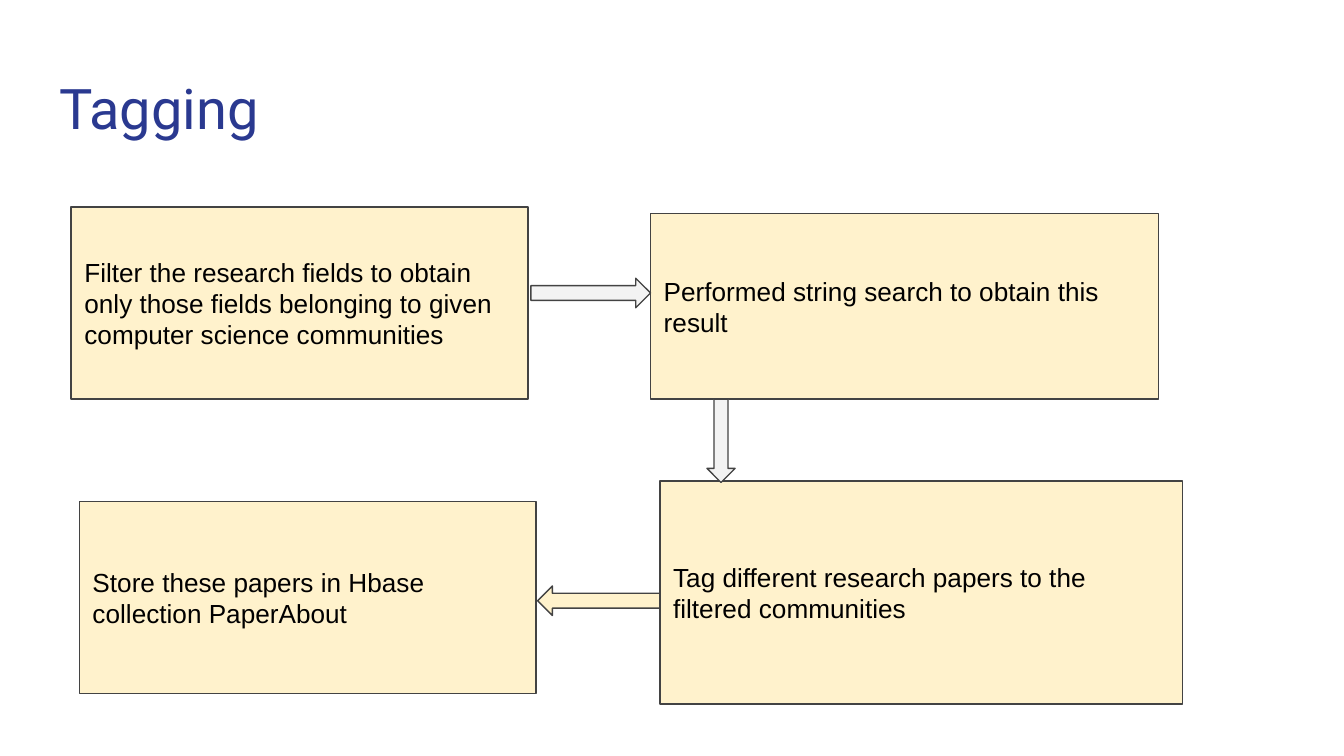
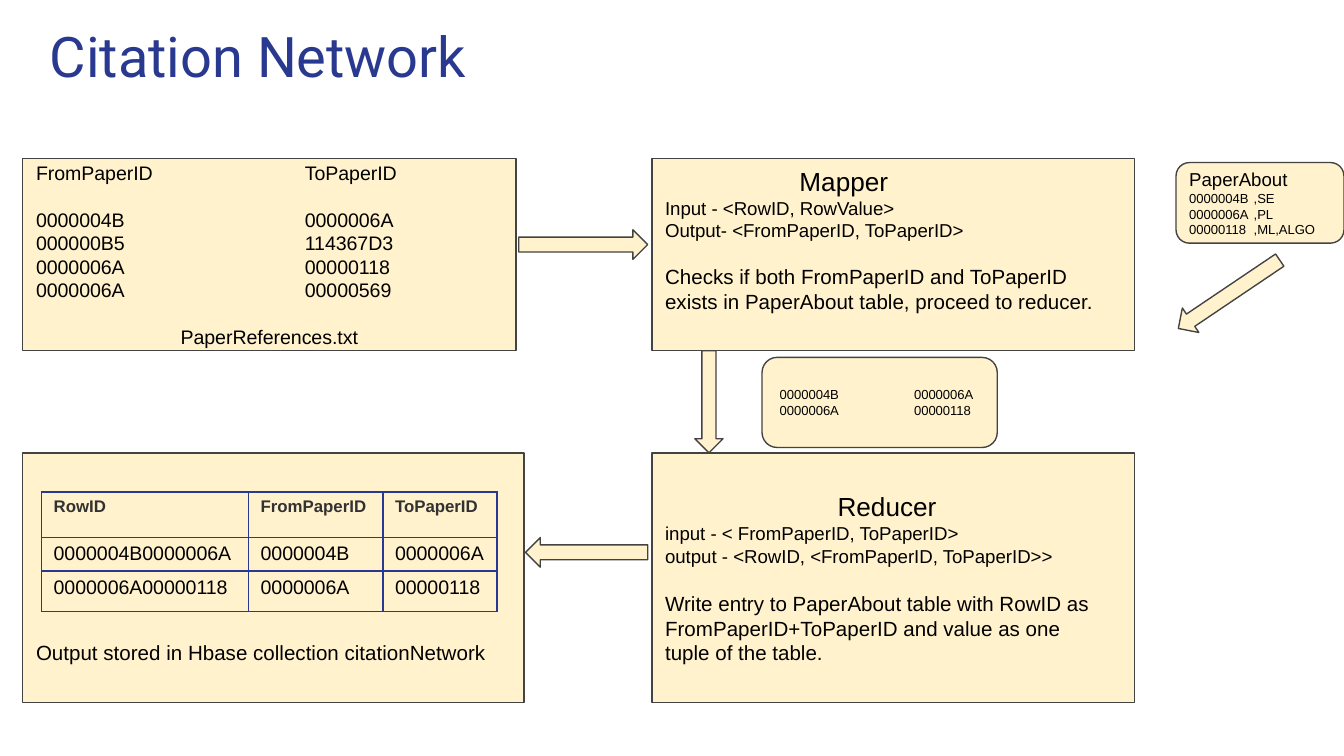
from dataclasses import dataclass

from lxml import etree
from pptx import Presentation
from pptx import util as u
from pptx.dml.color import RGBColor
from pptx.enum import shapes, text
from pptx.oxml import ns

PX = 9144
SLIDE_WIDTH = 1000
TITLE_ONLY = 5
BOX = shapes.MSO_SHAPE.RECTANGLE
ROUNDED = shapes.MSO_SHAPE.ROUNDED_RECTANGLE
RIGHT = shapes.MSO_SHAPE.RIGHT_ARROW
DOWN = shapes.MSO_SHAPE.DOWN_ARROW
LEFT = shapes.MSO_SHAPE.LEFT_ARROW
CENTER = text.PP_ALIGN.CENTER


@dataclass(frozen=True)
class Theme:
    navy: str = "2A3990"
    cream: str = "FFF2CC"
    gray: str = "F3F3F3"
    outline: str = "434343"
    ink: str = "000000"
    header_ink: str = "323232"
    title_font: str = "Roboto"
    body_font: str = "Arial"
    title: float = 30
    heading: float = 14
    body: float = 11
    listing: float = 10.5
    code: float = 10
    header: float = 9
    small: float = 7
    line: float = 0.75
    border: float = 1


@dataclass(frozen=True)
class Line:
    text: str
    size: float
    before: float = 0
    align: int = text.PP_ALIGN.LEFT
    indent: int = 0
    right_indent: int = 0


THEME = Theme()


def px(value):
    return u.Emu(value * PX)


def place(*lengths):
    return [px(length) for length in lengths]


def set_all(target, formats):
    for name, value in formats.items():
        setattr(target, name, value)


def set_font(font, size, color=THEME.ink, name=THEME.body_font, bold=False):
    set_all(font, {"name": name, "size": u.Pt(size), "bold": bold})
    font.color.rgb = RGBColor.from_string(color)


def set_margins(target, left, top, right, bottom):
    set_all(target, {
        "margin_left": px(left), "margin_top": px(top),
        "margin_right": px(right), "margin_bottom": px(bottom),
    })


def add_tab_stop(paragraph, position):
    properties = paragraph._p.get_or_add_pPr()
    stops = etree.SubElement(properties, ns.qn("a:tabLst"))
    etree.SubElement(stops, ns.qn("a:tab"), pos=str(px(position)), algn="l")


def write_lines(frame, lines, tab=None):
    for index, line in enumerate(lines):
        paragraph = frame.add_paragraph() if index else frame.paragraphs[0]
        set_all(paragraph, {"alignment": line.align, "space_before": u.Pt(line.before)})
        for name, indent in (("marL", line.indent), ("marR", line.right_indent)):
            if indent:
                paragraph._p.get_or_add_pPr().set(name, str(px(indent)))
        if tab and "\t" in line.text:
            add_tab_stop(paragraph, tab)
        run = paragraph.add_run()
        run.text = line.text
        set_font(run.font, line.size)


def add_titled_slide(presentation, title, position):
    slide = presentation.slides.add_slide(presentation.slide_layouts[TITLE_ONLY])
    shape = slide.shapes.title
    set_all(shape, dict(zip(("left", "top", "width", "height"), place(*position))))
    frame = shape.text_frame
    set_all(frame, {
        "text": title, "word_wrap": True,
        "auto_size": text.MSO_AUTO_SIZE.NONE,
        "vertical_anchor": text.MSO_ANCHOR.TOP,
    })
    set_margins(frame, 10, 10, 10, 10)
    paragraph = frame.paragraphs[0]
    paragraph.alignment = text.PP_ALIGN.LEFT
    set_font(paragraph.runs[0].font, THEME.title, THEME.navy, THEME.title_font)
    return slide


def add_filled(slide, kind, position, fill=THEME.cream, rotation=0):
    shape = slide.shapes.add_shape(kind, *place(*position))
    shape.shadow.inherit = False
    shape.rotation = rotation
    shape.fill.solid()
    shape.fill.fore_color.rgb = RGBColor.from_string(fill)
    shape.line.color.rgb = RGBColor.from_string(THEME.outline)
    shape.line.width = u.Pt(THEME.line)
    return shape


def add_box(slide, position, lines, kind=BOX, tab=None, top=10, bottom=10):
    frame = add_filled(slide, kind, position).text_frame
    set_all(frame, {"word_wrap": True, "vertical_anchor": text.MSO_ANCHOR.MIDDLE})
    set_margins(frame, 10, top, 10, bottom)
    write_lines(frame, lines, tab)


def add_label(slide, position, lines, tab):
    frame = slide.shapes.add_textbox(*place(*position)).text_frame
    set_all(frame, {"word_wrap": True, "auto_size": text.MSO_AUTO_SIZE.SHAPE_TO_FIT_TEXT})
    write_lines(frame, lines, tab)


def add_borders(cell):
    properties = cell._tc.get_or_add_tcPr()
    for side in ("lnL", "lnR", "lnT", "lnB"):
        line = etree.SubElement(properties, ns.qn(f"a:{side}"), w=str(u.Pt(THEME.border)))
        fill = etree.SubElement(line, ns.qn("a:solidFill"))
        etree.SubElement(fill, ns.qn("a:srgbClr"), val=THEME.navy)


def add_grid(slide, left, top, widths, heights, rows):
    position = place(left, top, sum(widths), sum(heights))
    table = slide.shapes.add_table(len(rows), len(widths), *position).table
    set_all(table, {"first_row": False, "horz_banding": False})
    for column, width in zip(table.columns, widths):
        column.width = px(width)
    for index, (row, height, values) in enumerate(zip(table.rows, heights, rows)):
        row.height = px(height)
        for cell, value in zip(row.cells, values):
            cell.text = value
            set_margins(cell, 9, 4, 9, 4)
            add_borders(cell)
            cell.fill.background()
            font = cell.text_frame.paragraphs[0].runs[0].font
            if index:
                set_font(font, THEME.listing)
            else:
                set_font(font, THEME.header, THEME.header_ink, bold=True)


def build_tagging(presentation):
    slide = add_titled_slide(presentation, "Tagging", (34, 45, 932, 66))
    steps = (
        ((53, 154, 340, 143), "Filter the research fields to obtain only those fields "
                              "belonging to given computer science communities"),
        ((484, 159, 378, 138), "Performed string search to obtain this result"),
        ((491, 358, 389, 166), "Tag different research papers to the filtered communities"),
        ((59, 373, 340, 143), "Store these papers in Hbase collection PaperAbout"),
    )
    for position, wording in steps:
        add_box(slide, position, [Line(wording, THEME.heading)])
    add_filled(slide, RIGHT, (395, 207, 89, 22), THEME.gray)
    add_filled(slide, DOWN, (526, 297, 21, 62), THEME.gray)
    add_filled(slide, LEFT, (400, 436, 91, 22))


def build_citation_network(presentation):
    slide = add_titled_slide(presentation, "Citation Network", (27, 6, 932, 66))
    references = ("0000004B\t0000006A", "000000B5\t114367D3",
                  "0000006A\t00000118", "0000006A\t00000569")
    add_box(slide, (17, 118, 367, 143), [
        Line("FromPaperID\tToPaperID", THEME.listing),
        *(Line(pair, THEME.listing, 0 if index else 12.5)
          for index, pair in enumerate(references)),
        Line("PaperReferences.txt", THEME.listing, 12.5, CENTER),
    ], tab=200)
    add_box(slide, (485, 118, 359, 143), [
        Line("Mapper", THEME.heading, indent=100),
        Line("Input - <RowID, RowValue>", THEME.code),
        Line("Output- <FromPaperID, ToPaperID>", THEME.code),
        Line("Checks if both FromPaperID and ToPaperID exists in PaperAbout table, "
             "proceed to reducer.", THEME.body, 12),
    ], bottom=33)
    add_box(slide, (485, 337, 359, 186), [
        Line("Reducer", THEME.heading, align=CENTER, right_indent=9),
        Line("input - < FromPaperID, ToPaperID>", THEME.code),
        Line("output - <RowID, <FromPaperID, ToPaperID>>", THEME.code),
        Line("Write entry to PaperAbout table with RowID as FromPaperID+ToPaperID "
             "and value as one tuple of the table.", THEME.body, 13),
    ])
    add_filled(slide, RIGHT, (386, 171, 96, 22))
    add_filled(slide, DOWN, (517, 261, 21, 76))
    add_box(slide, (17, 337, 373, 186), [
        Line("Output stored in Hbase collection citationNetwork", THEME.body),
    ], top=121)
    add_filled(slide, LEFT, (391, 400, 91, 22))
    add_box(slide, (567, 266, 175, 67), [
        Line(pair, THEME.small) for pair in (references[0], references[2])
    ], kind=ROUNDED, tab=100)
    add_grid(slide, 31, 366, (154, 100, 85), (34, 25, 30), (
        ("RowID", "FromPaperID", "ToPaperID"),
        ("0000004B0000006A", "0000004B", "0000006A"),
        ("0000006A00000118", "0000006A", "00000118"),
    ))
    add_filled(slide, ROUNDED, (875, 121, 125, 60))
    topics = ("0000004B\t,SE", "0000006A\t,PL", "00000118\t,ML,ALGO")
    add_label(slide, (875, 120, 125, 96), [
        Line("PaperAbout", THEME.code),
        *(Line(topic, THEME.small) for topic in topics),
    ], tab=48)
    add_filled(slide, LEFT, (869, 208, 91, 22), rotation=326)


def main():
    presentation = Presentation()
    width = px(SLIDE_WIDTH)
    set_all(presentation, {"slide_width": width, "slide_height": width * 9 // 16})
    build_tagging(presentation)
    build_citation_network(presentation)
    presentation.save("out.pptx")


if __name__ == "__main__":
    main()
